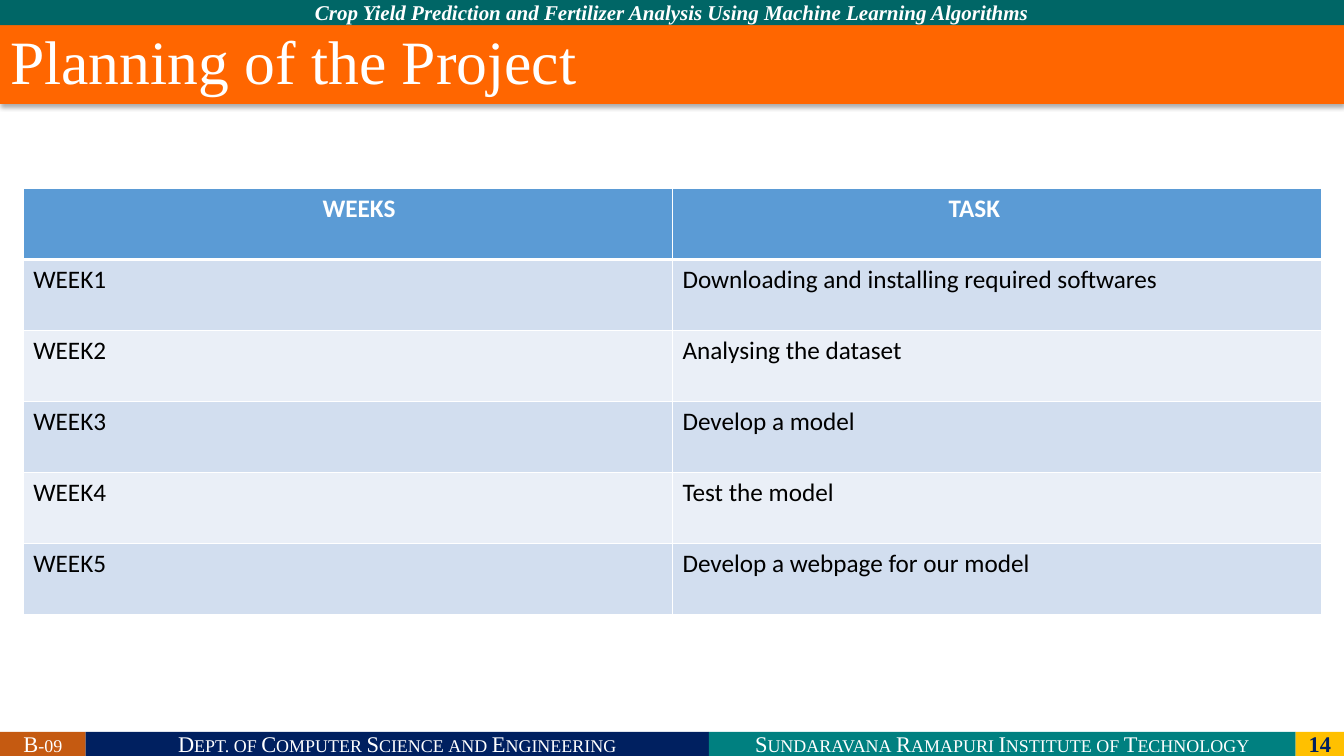
import pptx
import pptx.util
import pptx.oxml
import pptx.oxml.ns
from pptx.dml.color import RGBColor
from pptx.enum.shapes import MSO_SHAPE
from pptx.enum.text import MSO_ANCHOR, MSO_AUTO_SIZE, PP_ALIGN
from pptx.util import Inches

WHITE = RGBColor(0xFF, 0xFF, 0xFF)
BLACK = RGBColor(0x00, 0x00, 0x00)
NAVY = RGBColor(0x00, 0x20, 0x60)
TEAL = RGBColor(0x00, 0x80, 0x80)
DARK_TEAL = RGBColor(0x00, 0x66, 0x66)
GOLD = RGBColor(0xFF, 0xC0, 0x00)
RUST = RGBColor(0xC5, 0x5A, 0x11)
ORANGE = RGBColor(0xFF, 0x66, 0x00)
HEADER_BLUE = RGBColor(0x5B, 0x9B, 0xD5)
BANDS = [RGBColor(0xEA, 0xEF, 0xF7), RGBColor(0xD2, 0xDE, 0xEF)]

SERIF = "Times New Roman"
SLIDE_WIDTH, SLIDE_HEIGHT = 13.33, 7.5
PLAN = [
    ("WEEKS", "TASK"),
    ("WEEK1", "Downloading and installing required softwares"),
    ("WEEK2", "Analysing the dataset"),
    ("WEEK3", "Develop a model"),
    ("WEEK4", "Test the model"),
    ("WEEK5", "Develop a webpage for our model"),
]
HEADING_INDENTS = [2.97, 2.74]


def style_run(run, size, color, font=SERIF, bold=False, italic=False):
    run.font.name = font
    run.font.size = pptx.util.Pt(size)
    run.font.color.rgb = color
    run.font.bold = bold
    run.font.italic = italic


def add_bar(slide, box, fill, text, size=16, color=WHITE, small_caps=False,
            bold=False, italic=False):
    bar = slide.shapes.add_shape(MSO_SHAPE.RECTANGLE, *map(Inches, box))
    bar.shadow.inherit = False
    bar.fill.solid()
    bar.fill.fore_color.rgb = fill
    bar.line.fill.background()
    frame = bar.text_frame
    frame.word_wrap = True
    frame.margin_top = frame.margin_bottom = 0
    frame.vertical_anchor = MSO_ANCHOR.MIDDLE
    frame.text = text
    paragraph = frame.paragraphs[0]
    paragraph.alignment = PP_ALIGN.CENTER
    run = paragraph.runs[0]
    style_run(run, size, color, bold=bold, italic=italic)
    if small_caps:
        run.font._element.set("cap", "small")


def add_project_header(slide, box):
    add_bar(slide, box, DARK_TEAL,
            "Crop Yield Prediction and Fertilizer Analysis Using Machine Learning Algorithms",
            size=15, bold=True, italic=True)


def add_footer(slide, box):
    left, top, width, height = box
    sections = [
        (0.85, RUST, "B-09", {"small_caps": True}),
        (6.18, NAVY, "Dept. of Computer Science and Engineering", {"small_caps": True}),
        (5.82, TEAL, "Sundaravana Ramapuri Institute of Technology", {"small_caps": True}),
        (0.48, GOLD, "14", {"color": NAVY, "bold": True}),
    ]
    for section_width, fill, text, style in sections:
        add_bar(slide, (left, top, section_width, height), fill, text, **style)
        left += section_width


def fill_title(slide, box):
    title = slide.shapes.title
    title.left, title.top, title.width, title.height = map(Inches, box)
    title.fill.solid()
    title.fill.fore_color.rgb = ORANGE
    frame = title.text_frame
    frame.word_wrap = True
    frame.auto_size = MSO_AUTO_SIZE.NONE
    frame.vertical_anchor = MSO_ANCHOR.MIDDLE
    frame.text = "Planning of the Project"
    paragraph = frame.paragraphs[0]
    paragraph.alignment = PP_ALIGN.LEFT
    paragraph.line_spacing = 0.9
    style_run(paragraph.runs[0], 44, WHITE)
    title._element.spPr.append(pptx.oxml.parse_xml(
        f'<a:effectLst {pptx.oxml.ns.nsdecls("a")}>'
        '<a:outerShdw blurRad="44450" dist="27940" dir="5400000" algn="ctr" rotWithShape="0">'
        '<a:srgbClr val="000000"><a:alpha val="32000"/></a:srgbClr>'
        '</a:outerShdw></a:effectLst>'))


def add_cell_borders(cell, top, bottom):
    widths = {"lnL": 1, "lnR": 1, "lnT": top, "lnB": bottom}
    properties = cell._tc.get_or_add_tcPr()
    for position, (side, width) in enumerate(widths.items()):
        properties.insert(position, pptx.oxml.parse_xml(
            f'<a:{side} {pptx.oxml.ns.nsdecls("a")} w="{pptx.util.Pt(width)}">'
            f'<a:solidFill><a:srgbClr val="{WHITE}"/></a:solidFill></a:{side}>'))


def add_plan_table(slide, box):
    table = slide.shapes.add_table(len(PLAN), len(PLAN[0]), *map(Inches, box)).table
    for row_index, entries in enumerate(PLAN):
        heading = row_index == 0
        for column_index, text in enumerate(entries):
            cell = table.cell(row_index, column_index)
            cell.fill.solid()
            cell.fill.fore_color.rgb = HEADER_BLUE if heading else BANDS[row_index % 2]
            cell.text = text
            style_run(cell.text_frame.paragraphs[0].runs[0], 18,
                      WHITE if heading else BLACK, font="Calibri", bold=heading)
            if heading:
                cell.margin_left = Inches(HEADING_INDENTS[column_index])
            add_cell_borders(cell, top=3 if row_index == 1 else 1,
                             bottom=3 if heading else 1)


def main():
    presentation = pptx.Presentation()
    presentation.slide_width = Inches(SLIDE_WIDTH)
    presentation.slide_height = Inches(SLIDE_HEIGHT)
    slide = presentation.slides.add_slide(presentation.slide_layouts[5])
    add_project_header(slide, (0, 0, SLIDE_WIDTH, 0.25))
    add_footer(slide, (0, 7.26, SLIDE_WIDTH, 0.24))
    fill_title(slide, (0, 0.25, SLIDE_WIDTH, 0.78))
    add_plan_table(slide, (0.23, 1.87, 12.88, 4.23))
    presentation.save("out.pptx")


if __name__ == "__main__":
    main()
